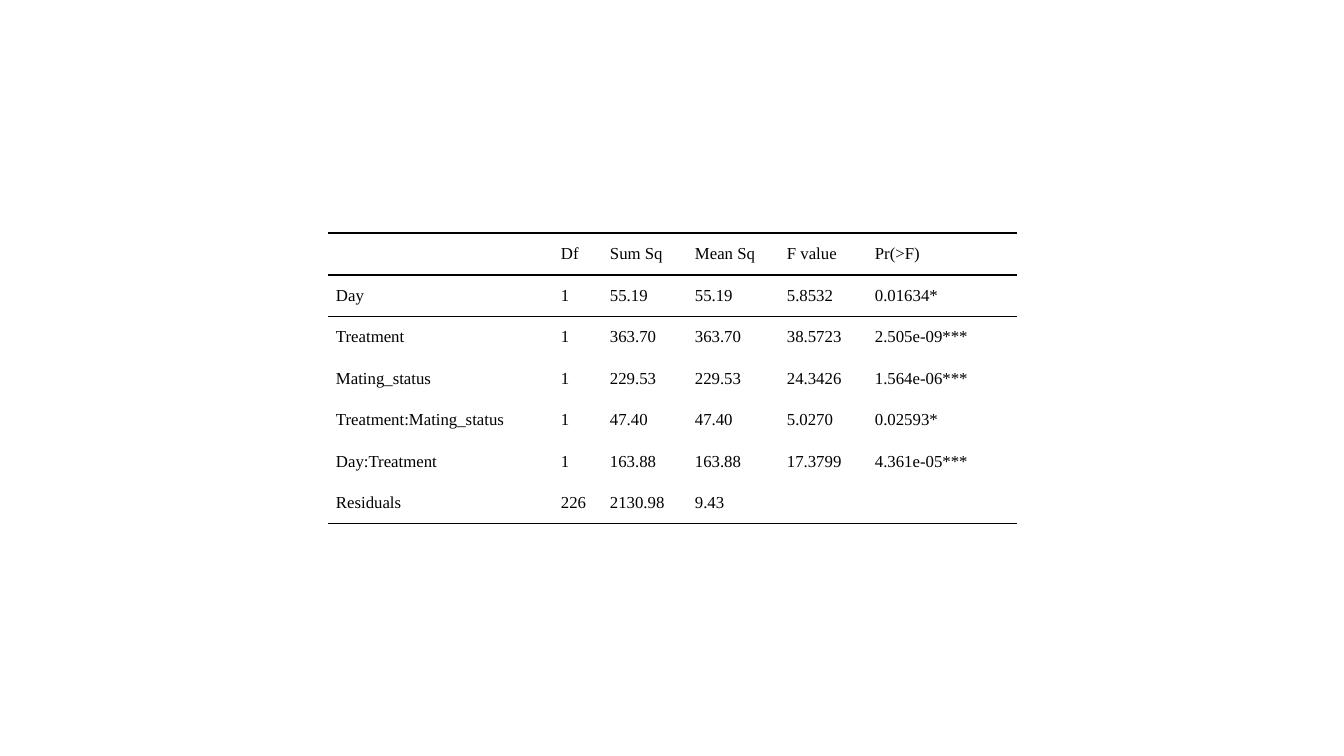
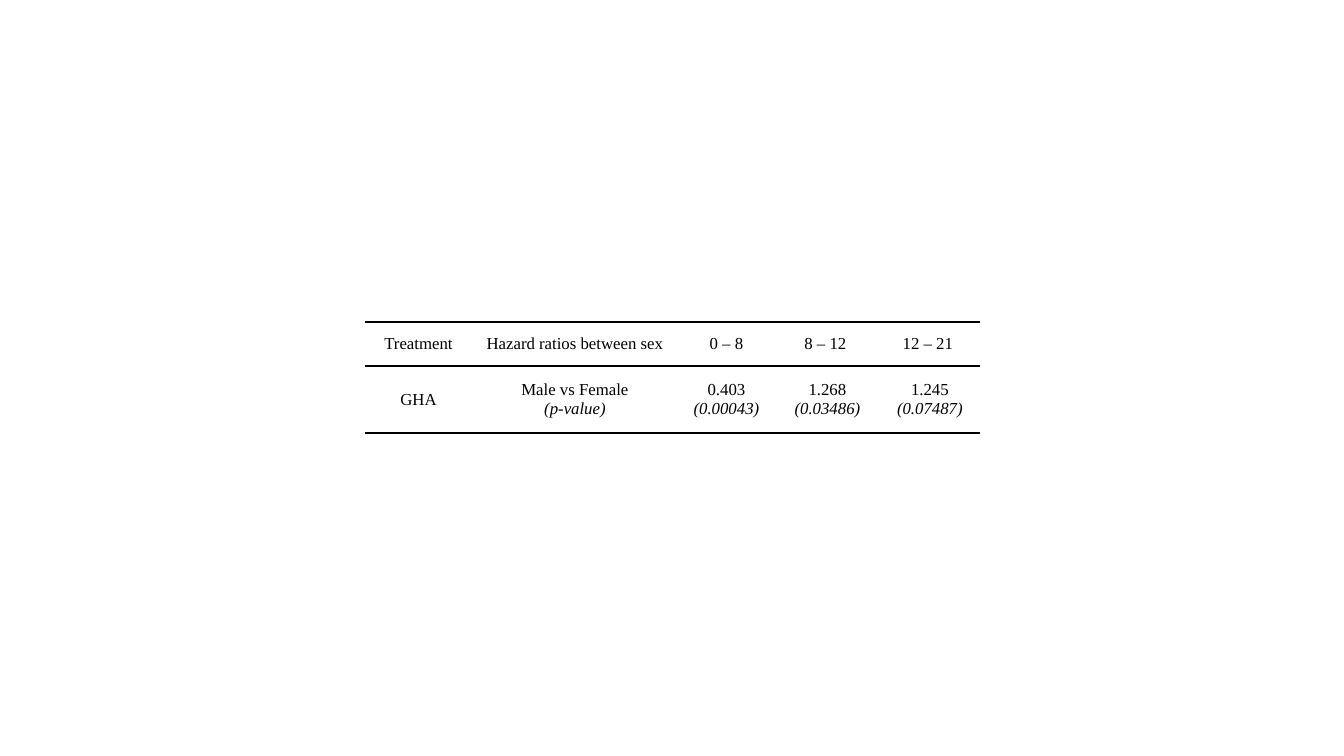
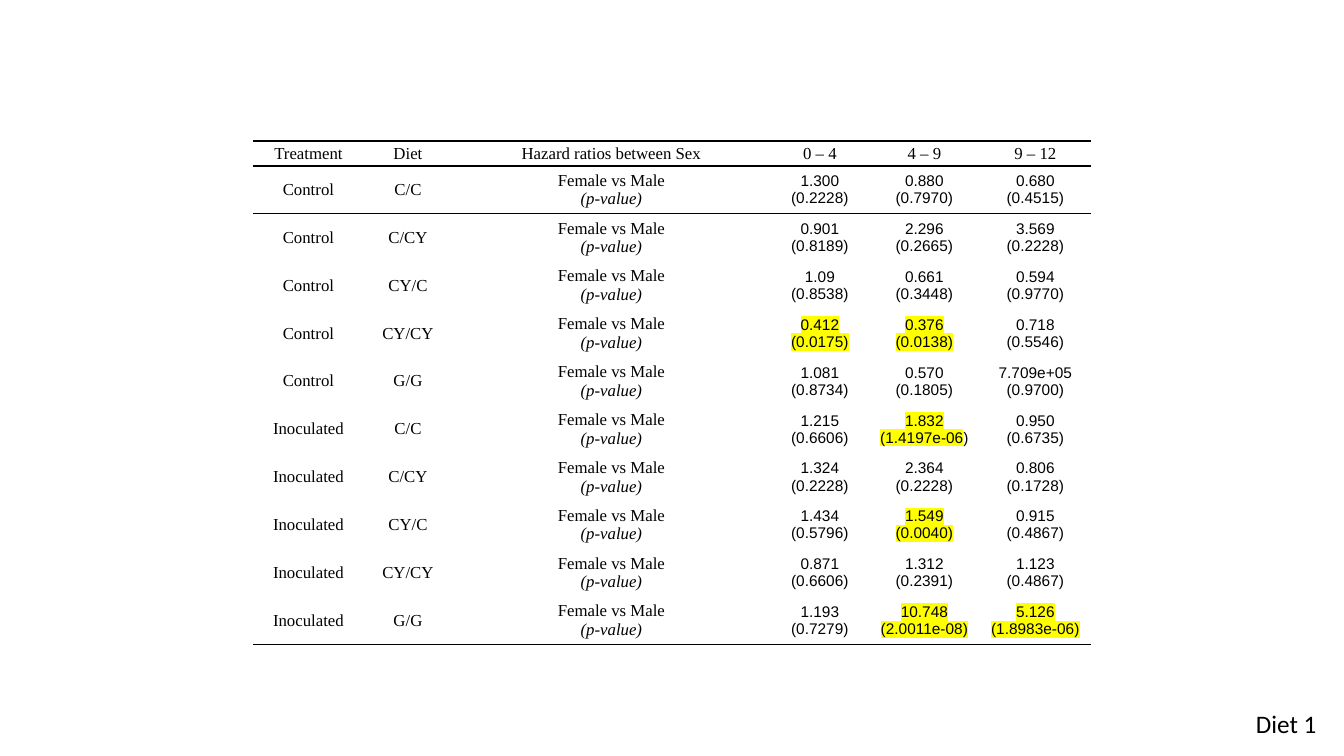
import itertools

import lxml.etree
import pptx
import pptx.dml.color
import pptx.enum.text
import pptx.oxml.ns
import pptx.util

PX = 9071  # EMU in one px of a 1344 x 756 page
BLACK = "000000"
YELLOW = "FFFF00"
NO_STYLE = "{2D5ABB26-0587-4C30-8999-92F81FD0307C}"
CENTER = pptx.enum.text.PP_ALIGN.CENTER
LEFT = pptx.enum.text.PP_ALIGN.LEFT
qn = pptx.oxml.ns.qn


def color(code):
    return pptx.dml.color.RGBColor.from_string(code)


def write(frame, text, font="Times New Roman", size=12, align=LEFT, italic_second=True):
    """Write one paragraph per line; parts in [square brackets] are highlighted."""
    for number, line in enumerate(text.split("\n")):
        para = frame.add_paragraph() if number else frame.paragraphs[0]
        para.alignment = align
        for index, part in enumerate(line.replace("]", "[").split("[")):
            if not part:
                continue
            span = para.add_run()
            span.text = part
            span.font.size = pptx.util.Pt(size)
            span.font.italic = italic_second and number == 1
            span.font.color.rgb = color(BLACK)
            if index % 2:
                mark = lxml.etree.SubElement(span._r.get_or_add_rPr(), qn("a:highlight"))
                lxml.etree.SubElement(mark, qn("a:srgbClr"), val=YELLOW)
            span.font.name = font


anova_rows = [
    ["", "Df", "Sum Sq", "Mean Sq", "F value", "Pr(>F)"],
    ["Day", "1", "55.19", "55.19", "5.8532", "0.01634*"],
    ["Treatment", "1", "363.70", "363.70", "38.5723", "2.505e-09***"],
    ["Mating_status", "1", "229.53", "229.53", "24.3426", "1.564e-06***"],
    ["Treatment:Mating_status", "1", "47.40", "47.40", "5.0270", "0.02593*"],
    ["Day:Treatment", "1", "163.88", "163.88", "17.3799", "4.361e-05***"],
    ["Residuals", "226", "2130.98", "9.43", "", ""],
]

sex_rows = [
    ["Treatment", "Hazard ratios between sex", "0 – 8", "8 – 12 ", "12 – 21 "],
    ["GHA", "Male vs Female\n(p-value)",
     "0.403\n(0.00043)", "1.268\n(0.03486)", "1.245\n(0.07487)"],
]

diet_ratios = [
    ["1.300\n(0.2228)", "0.880\n(0.7970)", "0.680\n(0.4515)"],
    ["0.901\n(0.8189)", "2.296\n(0.2665)", "3.569\n(0.2228)"],
    ["1.09\n(0.8538)", "0.661\n(0.3448)", "0.594\n(0.9770)"],
    ["[0.412]\n[(0.0175)]", "[0.376]\n[(0.0138)]", "0.718\n(0.5546)"],
    ["1.081\n(0.8734)", "0.570\n(0.1805)", "7.709e+05\n(0.9700)"],
    ["1.215\n(0.6606)", "[1.832]\n[(1.4197e-06])", "0.950\n(0.6735)"],
    ["1.324\n(0.2228)", "2.364\n(0.2228)", "0.806\n(0.1728)"],
    ["1.434\n(0.5796)", "[1.549]\n[(0.0040)]", "0.915\n(0.4867)"],
    ["0.871\n(0.6606)", "1.312\n(0.2391)", "1.123\n(0.4867)"],
    ["1.193\n(0.7279)", "[10.748]\n[(2.0011e-08)]", "[5.126]\n[(1.8983e-06)]"],
]
groups = itertools.product(["Control", "Inoculated"], ["C/C", "C/CY", "CY/C", "CY/CY", "G/G"])
diet_rows = [["Treatment", "Diet", "Hazard ratios between Sex", "0 – 4", "4 – 9", "9 – 12"]]
for (treatment, diet), ratios in zip(groups, diet_ratios):
    diet_rows.append([treatment, diet, "Female vs Male\n(p-value)", *ratios])

# "labels" counts the columns set in the label style; the rest hold ratios
tables = [
    dict(rows=anova_rows, left=328, top=233, widths=[225, 49, 85, 92, 88, 150],
         header=42, body=249, labels=6, margins=(8, 6), align=LEFT, ratio_format={}),
    dict(rows=sex_rows, left=365, top=322, widths=[107, 206, 97, 105, 100],
         header=44, body=67, labels=2, margins=(7, 4), align=CENTER, ratio_format={}),
    dict(rows=diet_rows, left=253, top=141, widths=[111, 88, 319, 98, 111, 111],
         header=25, body=479, labels=3, margins=(5, 2), align=CENTER,
         ratio_format=dict(font="Arial", size=11, italic_second=False)),
]

deck = pptx.Presentation()
deck.slide_width = 1344 * PX
deck.slide_height = 756 * PX

for layout in tables:
    page = deck.slides.add_slide(deck.slide_layouts[6])
    rows, widths = layout["rows"], layout["widths"]
    frame = page.shapes.add_table(
        len(rows), len(widths), layout["left"] * PX, layout["top"] * PX,
        sum(widths) * PX, (layout["header"] + layout["body"]) * PX)
    frame._element.find(".//" + qn("a:tableStyleId")).text = NO_STYLE
    table = frame.table
    table.first_row = table.horz_banding = False
    for column, width in zip(table.columns, widths):
        column.width = width * PX
    for row in table.rows:
        row.height = layout["body"] * PX // (len(rows) - 1)
    table.rows[0].height = layout["header"] * PX

    for row_index, texts in enumerate(rows):
        edges = {0: ["a:lnT", "a:lnB"], 1: ["a:lnT"]}.get(row_index, [])
        if row_index == len(rows) - 1:
            edges = edges + ["a:lnB"]
        for column_index, text in enumerate(texts):
            cell = table.cell(row_index, column_index)
            properties = cell._tc.get_or_add_tcPr()
            for edge in edges:
                line = lxml.etree.SubElement(properties, qn(edge), w=str(pptx.util.Pt(1)))
                fill = lxml.etree.SubElement(line, qn("a:solidFill"))
                lxml.etree.SubElement(fill, qn("a:srgbClr"), val=BLACK)
            cell.fill.background()
            if not text:
                continue
            is_ratio = row_index > 0 and column_index >= layout["labels"]
            across, down = (10, 5) if is_ratio else layout["margins"]
            cell.margin_left = cell.margin_right = across * PX
            cell.margin_top = cell.margin_bottom = down * PX
            cell.vertical_anchor = pptx.enum.text.MSO_ANCHOR.MIDDLE
            text_format = layout["ratio_format"] if is_ratio else {}
            write(cell.text_frame, text, align=layout["align"], **text_format)

box = page.shapes.add_textbox(1246 * PX, 703 * PX, 87 * PX, 40 * PX)
box.text_frame.word_wrap = True
write(box.text_frame, "Diet 1", font="Calibri", size=18)

deck.save("out.pptx")
